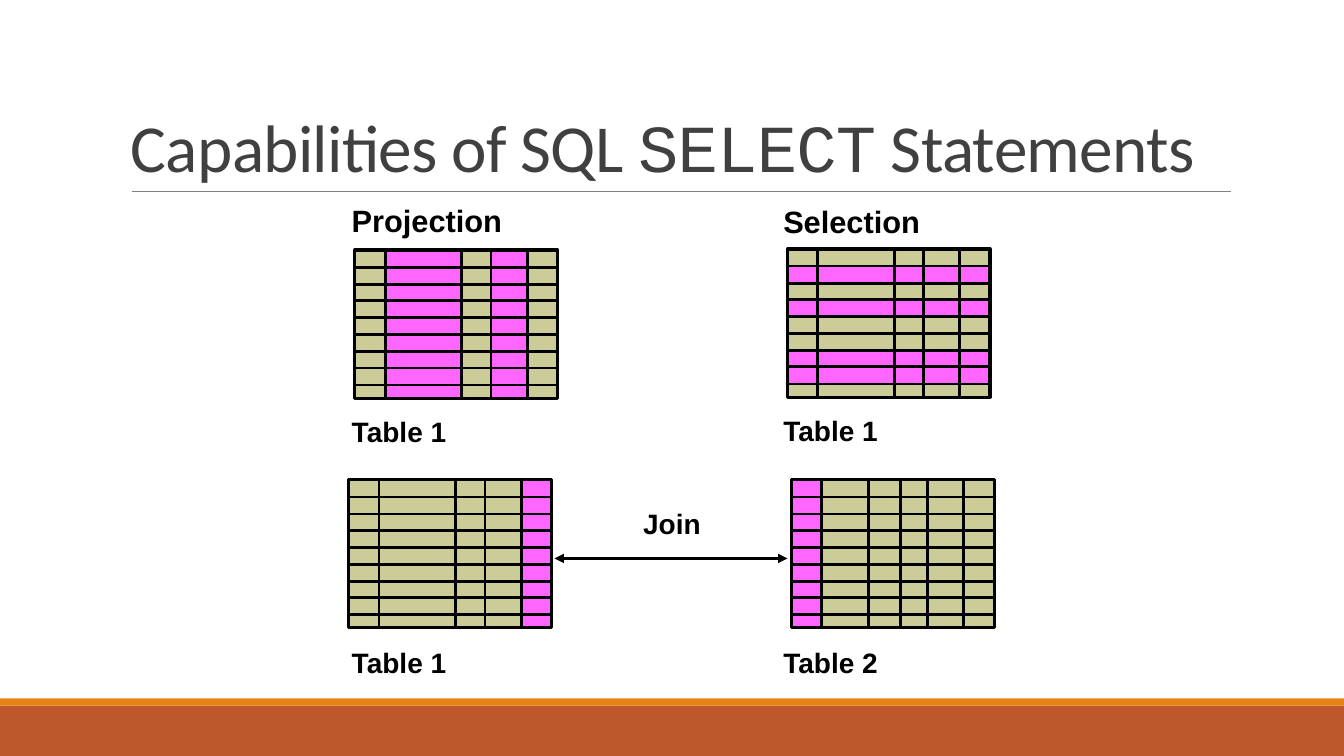
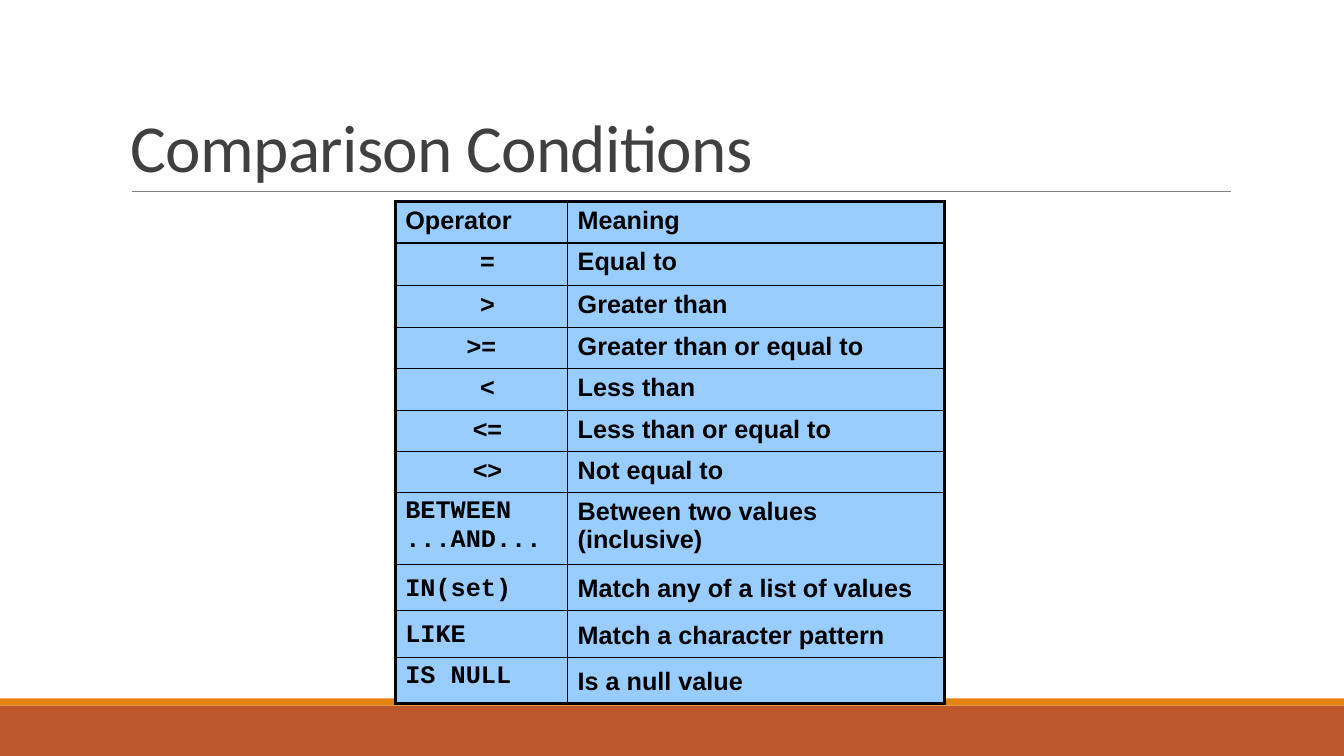
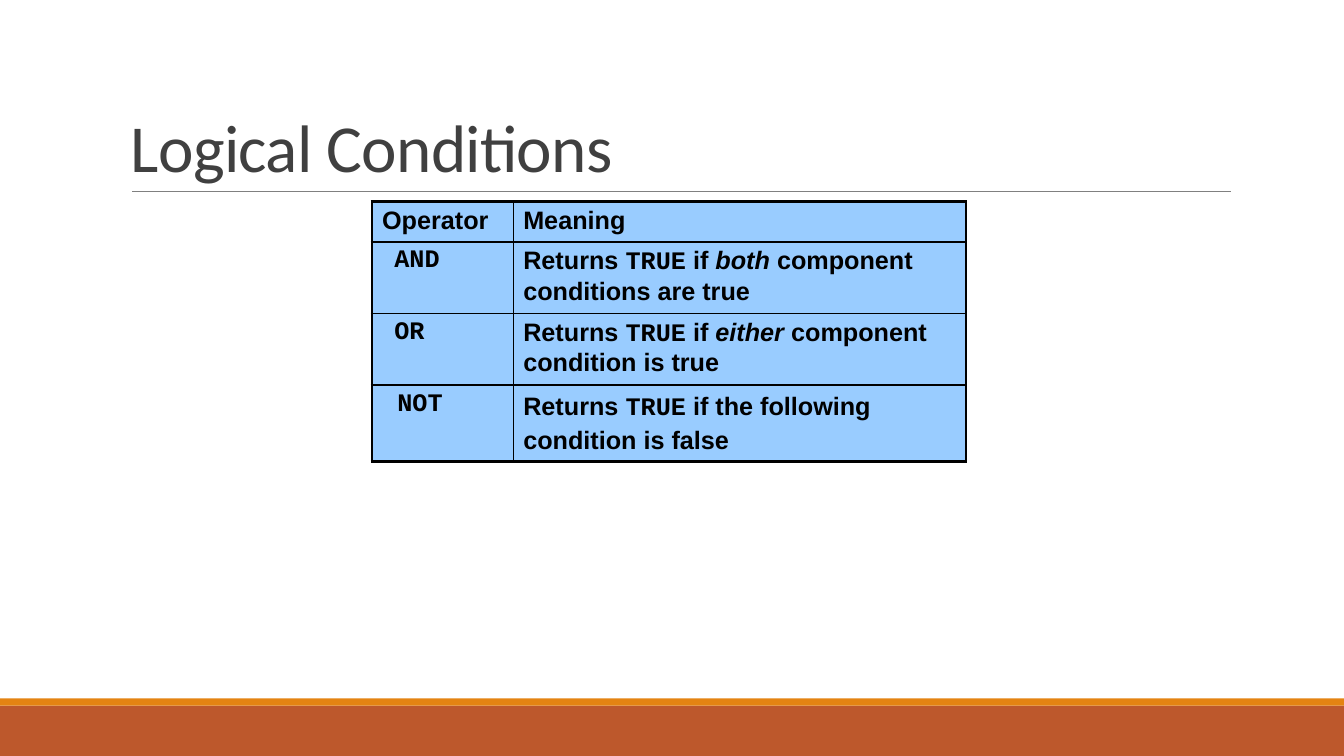
from dataclasses import dataclass
from itertools import pairwise
from typing import Any

from lxml.etree import SubElement
from pptx import Presentation
from pptx.dml.color import RGBColor
from pptx.enum.shapes import MSO_CONNECTOR, MSO_SHAPE
from pptx.enum.text import MSO_ANCHOR, MSO_AUTO_SIZE, PP_ALIGN
from pptx.oxml import parse_xml
from pptx.oxml.ns import nsdecls, qn
from pptx.shapes.connector import Connector
from pptx.slide import Slide
from pptx.util import Emu, Pt

PX = 9144  # one px is a hundredth of an inch
SLIDE_W, SLIDE_H = 1333, 750


@dataclass(frozen=True)
class Theme:
    title: str = "404040"
    text: str = "000000"
    rule: str = "808080"
    band: str = "BD582C"
    accent: str = "E48312"
    grid: str = "CCCC99"
    highlight: str = "FF66FF"
    cell: str = "99CCFF"
    title_font: str = "Calibri"
    body_font: str = "Arial"
    code_font: str = "Courier New"
    title_size: int = 48
    heading_size: int = 22
    label_size: int = 20
    cell_size: int = 18
    thin: float = 1
    grid_line: float = 2
    thick: float = 2.25


THEME = Theme()


@dataclass(frozen=True)
class Run:
    text: str
    code: bool = False
    italic: bool = False


@dataclass(frozen=True)
class Label:
    text: str
    left: int
    top: int
    width: int
    height: int = 44
    size: int = THEME.label_size


@dataclass(frozen=True)
class DataGrid:
    left: int
    top: int
    columns: tuple[int, ...] = (30, 106, 135, 171)
    marked_columns: tuple[int, ...] = ()
    marked_rows: tuple[int, ...] = ()


@dataclass(frozen=True)
class Cell:
    runs: tuple[Run, ...]
    spacing: float = 1
    indent: int = 0
    centred: bool = False


@dataclass(frozen=True)
class ConditionTable:
    left: int
    widths: tuple[int, ...]
    heights: tuple[int, ...]
    rows: tuple[tuple[Cell, Cell], ...]


def px(value: float) -> Emu:
    return Emu(round(value * PX))


def apply(target: Any, values: dict[str, Any]) -> None:
    for name, value in values.items():
        setattr(target, name, value)


# Basic parts
def add_rect(slide: Slide, left: float, top: float, width: float, height: float,
             fill: str | None = None, line: str | None = None) -> None:
    rect = slide.shapes.add_shape(MSO_SHAPE.RECTANGLE, *map(px, (left, top, width, height)))
    rect.shadow.inherit = False
    if fill:
        rect.fill.solid()
        rect.fill.fore_color.rgb = RGBColor.from_string(fill)
    else:
        rect.fill.background()
    if line:
        rect.line.color.rgb = RGBColor.from_string(line)
        rect.line.width = Pt(THEME.thick)
    else:
        rect.line.fill.background()


def add_line(slide: Slide, x1: float, y1: float, x2: float, y2: float,
             color: str = THEME.text, width: float = THEME.grid_line) -> Connector:
    line = slide.shapes.add_connector(MSO_CONNECTOR.STRAIGHT, *map(px, (x1, y1, x2, y2)))
    line.line.color.rgb = RGBColor.from_string(color)
    line.line.width = Pt(width)
    SubElement(line._element.spPr, qn("a:effectLst"))
    return line


def add_runs(paragraph: Any, runs: tuple[Run, ...], size: int, color: str = THEME.text,
             font: str = THEME.body_font, bold: bool = True, tracking: int = 0) -> None:
    for part in runs:
        for number, text in enumerate(part.text.split("\n")):
            if number:
                paragraph.add_line_break()
            run = paragraph.add_run()
            run.text = text
            apply(run.font, {"name": THEME.code_font if part.code else font,
                             "size": Pt(size), "bold": bold, "italic": part.italic})
            run.font.color.rgb = RGBColor.from_string(color)
            if tracking:
                run.font._element.set("spc", str(tracking))


def add_label(slide: Slide, label: Label) -> None:
    box = slide.shapes.add_textbox(*map(px, (label.left, label.top, label.width, label.height)))
    apply(box.text_frame, {"word_wrap": False, "auto_size": MSO_AUTO_SIZE.SHAPE_TO_FIT_TEXT})
    add_runs(box.text_frame.paragraphs[0], (Run(label.text),), label.size)


# Bands, rule and title of every slide
def add_framed_slide(prs: Any, *title: Run) -> Slide:
    slide = prs.slides.add_slide(prs.slide_layouts[6])
    add_rect(slide, 0, 700, SLIDE_W, 50, THEME.band)
    add_rect(slide, 0, 693, SLIDE_W, 7, THEME.accent)
    add_line(slide, 131, 190, 1221, 190, THEME.rule, 0.5)
    heading = slide.shapes.add_textbox(*map(px, (120, 31, 1100, 159))).text_frame
    apply(heading, {"word_wrap": True, "vertical_anchor": MSO_ANCHOR.BOTTOM})
    heading.paragraphs[0].line_spacing = 0.85
    add_runs(heading.paragraphs[0], title, THEME.title_size, THEME.title,
             THEME.title_font, bold=False, tracking=-50)
    return slide


# Schematic data grids
GRID_W, GRID_H = 201, 147
ROW_EDGES = (0, *(round(17 + i * 117 / 7) for i in range(8)), GRID_H)


def add_grid(slide: Slide, grid: DataGrid) -> None:
    left, top = grid.left, grid.top
    columns = list(pairwise((0, *grid.columns, GRID_W)))
    rows = list(pairwise(ROW_EDGES))
    add_rect(slide, left, top, GRID_W, GRID_H, THEME.grid)
    for start, end in (columns[i] for i in grid.marked_columns):
        add_rect(slide, left + start, top, end - start, GRID_H, THEME.highlight)
    for start, end in (rows[i] for i in grid.marked_rows):
        add_rect(slide, left, top + start, GRID_W, end - start, THEME.highlight)
    for y in ROW_EDGES[1:-1]:
        add_line(slide, left, top + y, left + GRID_W, top + y)
    for x in grid.columns:
        add_line(slide, left + x, top, left + x, top + GRID_H)
    add_rect(slide, left, top, GRID_W, GRID_H, line=THEME.text)


# Condition tables
def set_borders(cell: Any, widths: dict[str, float]) -> None:
    properties = cell._tc.get_or_add_tcPr()
    for position, (side, width) in enumerate(widths.items()):
        properties.insert(position, parse_xml(
            f'<a:ln{side} {nsdecls("a")} w="{Pt(width)}"><a:solidFill>'
            f'<a:srgbClr val="{THEME.text}"/></a:solidFill></a:ln{side}>'))


def add_conditions(slide: Slide, spec_table: ConditionTable) -> None:
    widths, heights = spec_table.widths, spec_table.heights
    table = slide.shapes.add_table(len(heights), len(widths), *map(
        px, (spec_table.left, 200, sum(widths), sum(heights)))).table
    apply(table, {"first_row": False, "horz_banding": False})
    for column, width in zip(table.columns, widths):
        column.width = px(width)
    for row, height in zip(table.rows, heights):
        row.height = px(height)
    last_row, last_column = len(heights) - 1, len(widths) - 1
    for r, row in enumerate(spec_table.rows):
        for c, content in enumerate(row):
            cell = table.cell(r, c)
            apply(cell, {"margin_left": px(10), "margin_right": px(10),
                         "margin_top": px(5), "margin_bottom": px(5)})
            cell.fill.solid()
            cell.fill.fore_color.rgb = RGBColor.from_string(THEME.cell)
            thick_sides = {"L": c == 0, "R": c == last_column,
                           "T": r in (0, 1), "B": r in (0, last_row)}
            set_borders(cell, {side: THEME.thick if thick else THEME.thin
                               for side, thick in thick_sides.items()})
            paragraph = cell.text_frame.paragraphs[0]
            apply(paragraph, {"line_spacing": content.spacing,
                              "alignment": PP_ALIGN.CENTER if content.centred else PP_ALIGN.LEFT})
            if content.indent:
                paragraph._p.get_or_add_pPr().set("marL", str(px(content.indent)))
            add_runs(paragraph, content.runs, THEME.cell_size)


def words(text: str, spacing: float = 1) -> Cell:
    return Cell((Run(text),), spacing)


def symbol(text: str, indent: int = 12) -> Cell:
    return Cell((Run(text),), indent=indent, centred=True)


def keyword(text: str, spacing: float = 1, indent: int = 0) -> Cell:
    return Cell((Run(text, code=True),), spacing, indent)


def returns_true(*rest: Run, spacing: float = 1) -> Cell:
    return Cell((Run("Returns "), Run("TRUE", code=True), *rest), spacing)


HEADER = (words("Operator"), words("Meaning"))

GRIDS = (
    DataGrid(352, 248, marked_columns=(1, 3)),
    DataGrid(781, 247, marked_rows=(1, 3, 6, 7)),
    DataGrid(346, 476, marked_columns=(4,)),
    DataGrid(785, 476, columns=(30, 76, 108, 135, 171), marked_columns=(0,)),
)

LABELS = (
    Label("Projection", 339, 195, 171, 47, THEME.heading_size),
    Label("Selection", 767, 196, 158, 47, THEME.heading_size),
    Label("Table 1", 339, 406, 115),
    Label("Table 1", 767, 405, 115),
    Label("Table 1", 339, 635, 115),
    Label("Table 2", 767, 635, 115),
    Label("Join", 628, 498, 78),
)

COMPARISONS = ConditionTable(
    392, (171, 374), (41, 42, 42, 41, 41, 41, 41, 71, 45, 45, 43), (
        HEADER,
        (symbol("="), words("Equal to")),
        (symbol(">"), words("Greater than")),
        (symbol(">=", indent=0), words("Greater than or equal to")),
        (symbol("<"), words("Less than")),
        (symbol("<="), words("Less than or equal to")),
        (symbol("<>"), words("Not equal to")),
        (keyword("BETWEEN\n...AND..."), words("Between two values (inclusive)")),
        (keyword("IN(set)", 1.2), words("Match any of a list of values", 1.2)),
        (keyword("LIKE", 1.2), words("Match a character pattern", 1.2)),
        (keyword("IS NULL"), words("Is a null value", 1.2)),
    ))

LOGIC = ConditionTable(
    369, (140, 449), (40, 71, 71, 74), (
        HEADER,
        (keyword("AND", indent=12),
         returns_true(Run(" if "), Run("both ", italic=True),
                      Run("component conditions are true"))),
        (keyword("OR", indent=12),
         returns_true(Run(" if "), Run("either ", italic=True),
                      Run("component condition is true"))),
        (keyword("NOT", indent=15),
         returns_true(Run(" if the following condition is false"), spacing=1.1)),
    ))


def main() -> None:
    prs = Presentation()
    apply(prs, {"slide_width": px(SLIDE_W), "slide_height": px(SLIDE_H)})

    # Capabilities: four grids, their labels and the join arrow
    capabilities = add_framed_slide(prs, Run("Capabilities of SQL "),
                                    Run("SELECT", code=True), Run(" Statements"))
    for grid in GRIDS:
        add_grid(capabilities, grid)
    for label in LABELS:
        add_label(capabilities, label)
    join = add_line(capabilities, 550, 554, 781, 554, width=THEME.thick)
    for end in ("a:headEnd", "a:tailEnd"):
        SubElement(join.line._get_or_add_ln(), qn(end), type="triangle")

    # Condition tables
    for title, conditions in (("Comparison Conditions", COMPARISONS),
                              ("Logical Conditions", LOGIC)):
        add_conditions(add_framed_slide(prs, Run(title)), conditions)

    prs.save("out.pptx")


if __name__ == "__main__":
    main()
